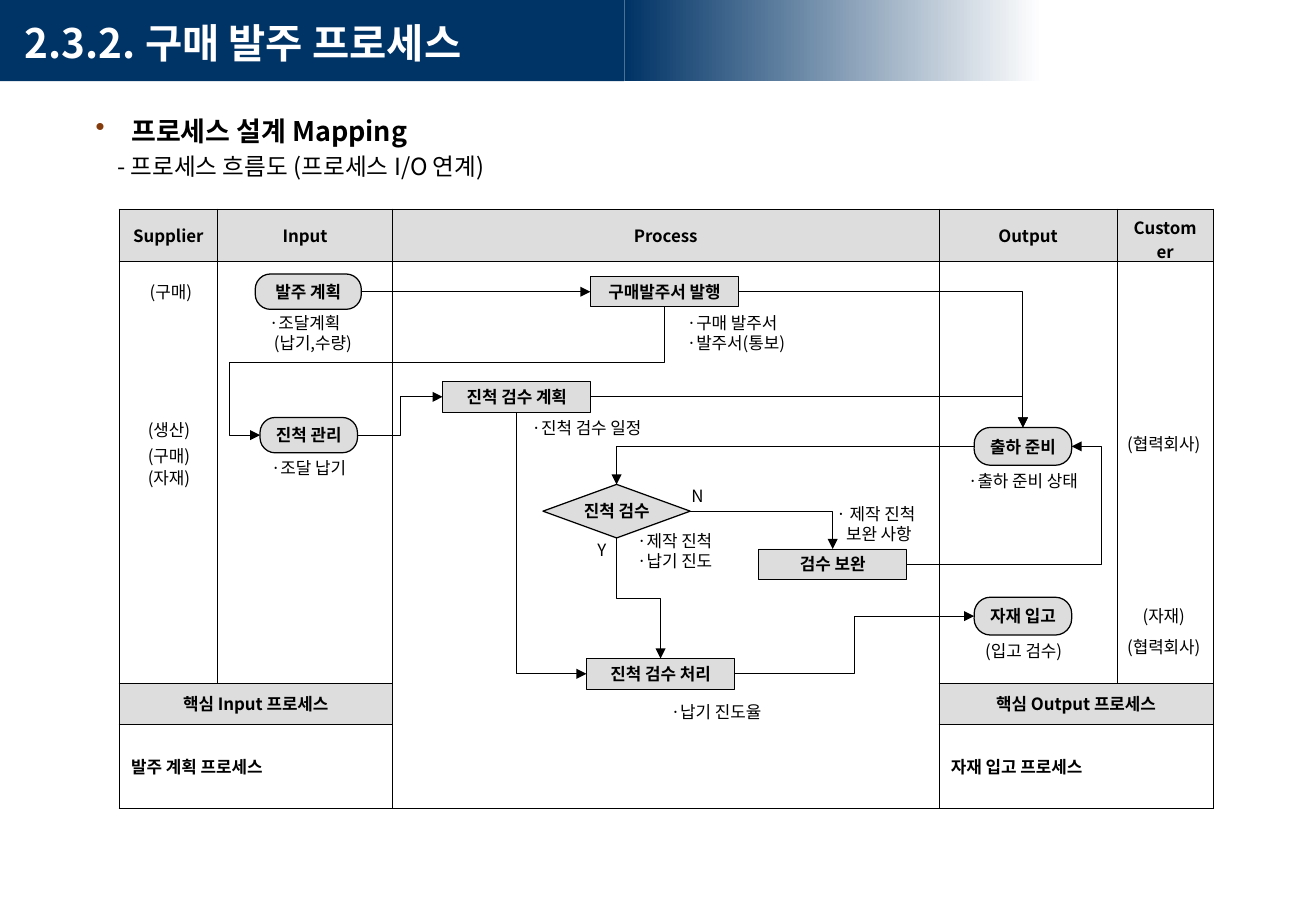
from lxml.etree import SubElement
from pptx import Presentation
from pptx.dml.color import RGBColor
from pptx.enum.shapes import MSO_CONNECTOR, MSO_SHAPE
from pptx.enum.text import MSO_ANCHOR, PP_ALIGN
from pptx.oxml.ns import qn
from pptx.util import Cm, Pt

FONT = "Noto Sans CJK KR"
NAVY = RGBColor(0x00, 0x33, 0x66)
WHITE = RGBColor(0xFF, 0xFF, 0xFF)
BLACK = RGBColor(0x00, 0x00, 0x00)
GREY = RGBColor(0xDD, 0xDD, 0xDD)
BROWN = RGBColor(0x84, 0x3C, 0x0C)

TOP, LEFT, BOTTOM, RIGHT = range(4)
RECT, ROUND, DIAMOND = MSO_SHAPE.RECTANGLE, MSO_SHAPE.ROUNDED_RECTANGLE, MSO_SHAPE.DIAMOND

COLUMNS = [2.06, 3.66, 11.43, 3.73, 2.01]
ROWS = [0.91, 8.81, 0.86, 1.75]
HEADERS = ["Supplier", "Input", "Process", "Output", "Customer"]
MERGES = [(1, 2, 3, 2), (2, 0, 2, 1), (2, 3, 2, 4), (3, 0, 3, 1), (3, 3, 3, 4)]

NODES = [
    ("구매발주서 발행", RECT, 12.35, 5.78, 3.1, 0.64),
    ("진척 검수 계획", RECT, 9.26, 7.98, 3.1, 0.64),
    ("검수 보완", RECT, 15.87, 11.48, 3.1, 0.64),
    ("진척 검수 처리", RECT, 12.27, 13.77, 3.1, 0.64),
    ("발주 계획", ROUND, 5.34, 5.73, 2.22, 0.74),
    ("진척 관리", ROUND, 5.44, 8.73, 2.04, 0.74),
    ("출하 준비", ROUND, 20.38, 8.94, 2.04, 0.79),
    ("자재 입고", ROUND, 20.38, 12.49, 2.04, 0.79),
    ("진척 검수", DIAMOND, 11.36, 10.13, 3.08, 1.12),
]

FLOWS = [
    ("발주 계획", RIGHT, "구매발주서 발행", LEFT, "line", []),
    ("구매발주서 발행", RIGHT, "출하 준비", TOP, "bentConnector2", []),
    ("구매발주서 발행", BOTTOM, "진척 관리", LEFT, "bentConnector4", [43100, 107500]),
    ("진척 관리", RIGHT, "진척 검수 계획", LEFT, "bentConnector3", [50000]),
    ("진척 검수 계획", RIGHT, "출하 준비", TOP, "bentConnector2", []),
    ("진척 검수 계획", BOTTOM, "진척 검수 처리", LEFT, "bentConnector2", []),
    ("출하 준비", LEFT, "진척 검수", TOP, "bentConnector2", []),
    ("진척 검수", RIGHT, "검수 보완", TOP, "bentConnector2", []),
    ("진척 검수", BOTTOM, "진척 검수 처리", TOP, "bentConnector3", [50000]),
    ("검수 보완", RIGHT, "출하 준비", RIGHT, "bentConnector3", [118300]),
    ("진척 검수 처리", RIGHT, "자재 입고", LEFT, "bentConnector3", [50000]),
]

CENTRED_LABELS = [
    ("(구매)", 2.57, 5.84, 2.01, 0.51),
    ("(생산)", 2.53, 8.74, 2.01, 0.51),
    ("(구매)", 2.53, 9.27, 2.01, 0.53),
    ("(자재)", 2.53, 9.73, 2.01, 0.51),
    ("(협력회사)", 23.34, 9.02, 2.01, 0.51),
    ("(자재)", 23.34, 12.62, 2.01, 0.53),
    ("(협력회사)", 23.34, 13.26, 2.01, 0.51),
    ("Y", 12.22, 11.25, 0.74, 0.51),
    ("N", 14.22, 10.11, 0.74, 0.51),
    ("(입고 검수)", 20.4, 13.36, 2.03, 0.51),
    ("·조달 납기", 5.44, 9.53, 2.03, 0.51),
    ("·진척 검수 일정", 10.97, 8.66, 2.6, 0.58),
    ("·납기 진도율", 13.85, 14.53, 2.26, 0.71),
    ("·출하 준비 상태", 20.05, 9.78, 2.7, 0.56),
]

TWO_LINE_LABELS = [
    ("·조달계획", "(납기,수량)", 0.1, 5.63, 6.55, 2.4, 0.81),
    ("·구매 발주서", "·발주서(통보)", 0, 14.37, 6.53, 2.8, 0.86),
    ("· 제작 진척", "보완 사항", 0.2, 17.5, 10.44, 2.1, 1.04),
    ("·제작 진척", "·납기 진도", 0, 13.33, 11.05, 2.42, 0.94),
]


def add_span(para, text, size=10, bold=False, color=BLACK):
    """Add one run with the slide's font for Latin and Korean text."""
    span = para.add_run()
    span.text = text
    span.font.size, span.font.bold = Pt(size), bold
    span.font.color.rgb = color
    span.font.name = FONT
    SubElement(span.font._element, qn("a:ea"), typeface=FONT)


def indent(para, margin, first=0):
    """Set the left margin and first-line indent of a paragraph."""
    properties = para._p.get_or_add_pPr()
    properties.set("marL", str(Cm(margin)))
    properties.set("indent", str(Cm(first)))
    return properties


def add_box(page, left, top, width, height):
    """Add an empty text box and return its text frame."""
    frame = page.shapes.add_textbox(Cm(left), Cm(top), Cm(width), Cm(height)).text_frame
    frame.word_wrap = True
    return frame


def clear_margins(frame):
    """Remove all insets, keep lines unbroken and centre the text vertically."""
    frame.word_wrap = False
    frame.vertical_anchor = MSO_ANCHOR.MIDDLE
    frame.margin_left = frame.margin_right = frame.margin_top = frame.margin_bottom = 0


def add_label(page, lines, align, place, shift=0):
    """Add a small unwrapped label whose last line may be shifted right."""
    frame = add_box(page, *place)
    clear_margins(frame)
    for number, line in enumerate(lines):
        para = frame.add_paragraph() if number else frame.paragraphs[0]
        para.alignment = align
        if number and shift:
            indent(para, shift)
        add_span(para, line)


def add_panel(page, kind, left, top, width, height):
    """Add a preset shape without shadow."""
    panel = page.shapes.add_shape(kind, Cm(left), Cm(top), Cm(width), Cm(height))
    panel.shadow.inherit = False
    return panel


def add_header(page):
    """Draw the title band, the title and the section heading."""
    fade = add_panel(page, RECT, 13.06, 0, 8.74, 1.7)
    fade.fill.gradient()
    fade.fill.gradient_angle = 0
    for stop, color in zip(fade.fill.gradient_stops, (NAVY, WHITE)):
        stop.color.rgb = color
    band = add_panel(page, RECT, 0, 0, 13.06, 1.7)
    band.fill.solid()
    band.fill.fore_color.rgb = NAVY
    for panel in (fade, band):
        panel.line.fill.background()

    title = add_box(page, 0.27, 0.25, 27.2, 1.27)
    add_span(title.paragraphs[0], "2.3.2. 구매 발주 프로세스", 24, True, WHITE)

    heading = add_box(page, 1.75, 2.13, 23.01, 1.78)
    topic, detail = heading.paragraphs[0], heading.add_paragraph()
    properties = indent(topic, 0.75, -0.75)
    SubElement(SubElement(properties, qn("a:buClr")), qn("a:srgbClr"), val=str(BROWN))
    SubElement(properties, qn("a:buChar"), char="•")
    indent(detail, 0.45)
    for para in (topic, detail):
        para.alignment = PP_ALIGN.JUSTIFY
        para.line_spacing = 1.2
    add_span(topic, "프로세스 설계 Mapping", 16, True)
    add_span(detail, "- 프로세스 흐름도 (프로세스 I/O 연계)", 14)


def style_cell(cell, color):
    """Fill a cell and give it thin black borders."""
    cell.vertical_anchor = MSO_ANCHOR.MIDDLE
    properties = cell._tc.get_or_add_tcPr()
    for edge in ("a:lnL", "a:lnR", "a:lnT", "a:lnB"):
        border = SubElement(properties, qn(edge), w=str(Pt(0.45)))
        SubElement(SubElement(border, qn("a:solidFill")), qn("a:srgbClr"), val=str(BLACK))
    cell.fill.solid()
    cell.fill.fore_color.rgb = color


def add_process_table(page):
    """Draw the supplier-to-customer table behind the flow."""
    table = page.shapes.add_table(len(ROWS), len(COLUMNS), Cm(2.49), Cm(4.37),
                                  Cm(sum(COLUMNS)), Cm(sum(ROWS))).table
    table.first_row = table.horz_banding = False
    for column, width in zip(table.columns, COLUMNS):
        column.width = Cm(width)
    for number, (row, height) in enumerate(zip(table.rows, ROWS)):
        row.height = Cm(height)
        for column, cell in enumerate(row.cells):
            shaded = number == 0 or (number == 2 and column != 2)
            style_cell(cell, GREY if shaded else WHITE)
    for top, left, bottom, right in MERGES:
        table.cell(top, left).merge(table.cell(bottom, right))

    texts = [(0, column, text) for column, text in enumerate(HEADERS)]
    texts += [(2, 0, "핵심 Input 프로세스"), (2, 3, "핵심 Output 프로세스"),
              (3, 0, "발주 계획 프로세스"), (3, 3, "자재 입고 프로세스")]
    for row, column, text in texts:
        para = table.cell(row, column).text_frame.paragraphs[0]
        para.alignment = PP_ALIGN.LEFT if row == 3 else PP_ALIGN.CENTER
        add_span(para, text, bold=True)


def add_node(page, text, kind, *place):
    """Draw one step of the flow and return its shape."""
    node = add_panel(page, kind, *place)
    if kind == ROUND:
        node.adjustments[0] = 0.43
    node.fill.solid()
    node.fill.fore_color.rgb = GREY
    node.line.color.rgb = BLACK
    node.line.width = Pt(0.5 if kind == RECT else 0.75)
    clear_margins(node.text_frame)
    para = node.text_frame.paragraphs[0]
    para.alignment = PP_ALIGN.CENTER
    add_span(para, text, bold=True)
    return node


def turn_down(arrow):
    """Rotate a connector a quarter turn so that it leaves downwards."""
    start_x, start_y, end_x, end_y = arrow.begin_x, arrow.begin_y, arrow.end_x, arrow.end_y
    middle_x, middle_y = (start_x + end_x) // 2, (start_y + end_y) // 2
    across, down = end_x - start_x, end_y - start_y
    frame = arrow._element.spPr.find(qn("a:xfrm"))
    frame.set("rot", "5400000")
    frame.set("flipH", "0")
    frame.set("flipV", "1" if across > 0 else "0")
    arrow.width, arrow.height = down, abs(across)
    arrow.left, arrow.top = middle_x - down // 2, middle_y - abs(across) // 2


def add_flow(page, source, source_side, target, target_side, preset, bends):
    """Join two steps with a glued arrow."""
    arrow = page.shapes.add_connector(MSO_CONNECTOR.ELBOW, 0, 0, 0, 0)
    arrow.begin_connect(source, source_side)
    arrow.end_connect(target, target_side)
    if source_side == BOTTOM:
        turn_down(arrow)
    arrow.line.color.rgb = BLACK
    arrow.line.width = Pt(0.5)
    properties = arrow._element.spPr
    geometry = properties.find(qn("a:prstGeom"))
    geometry.set("prst", preset)
    for number, bend in enumerate(bends, 1):
        name = f"adj{number}"
        SubElement(geometry.find(qn("a:avLst")), qn("a:gd"), name=name, fmla=f"val {bend}")
    SubElement(properties.find(qn("a:ln")), qn("a:tailEnd"), type="triangle")
    SubElement(properties, qn("a:effectLst"))


def main():
    """Build the purchase order process slide."""
    deck = Presentation()
    deck.slide_width, deck.slide_height = Cm(27.53), Cm(19.05)
    page = deck.slides.add_slide(deck.slide_layouts[6])
    add_header(page)
    add_process_table(page)
    nodes = {node[0]: add_node(page, *node) for node in NODES}
    for source, source_side, target, target_side, preset, bends in FLOWS:
        add_flow(page, nodes[source], source_side, nodes[target], target_side, preset, bends)
    for text, *place in CENTRED_LABELS:
        add_label(page, [text], PP_ALIGN.CENTER, place)
    for first, second, shift, *place in TWO_LINE_LABELS:
        add_label(page, [first, second], PP_ALIGN.LEFT, place, shift)
    deck.save("out.pptx")


if __name__ == "__main__":
    main()
